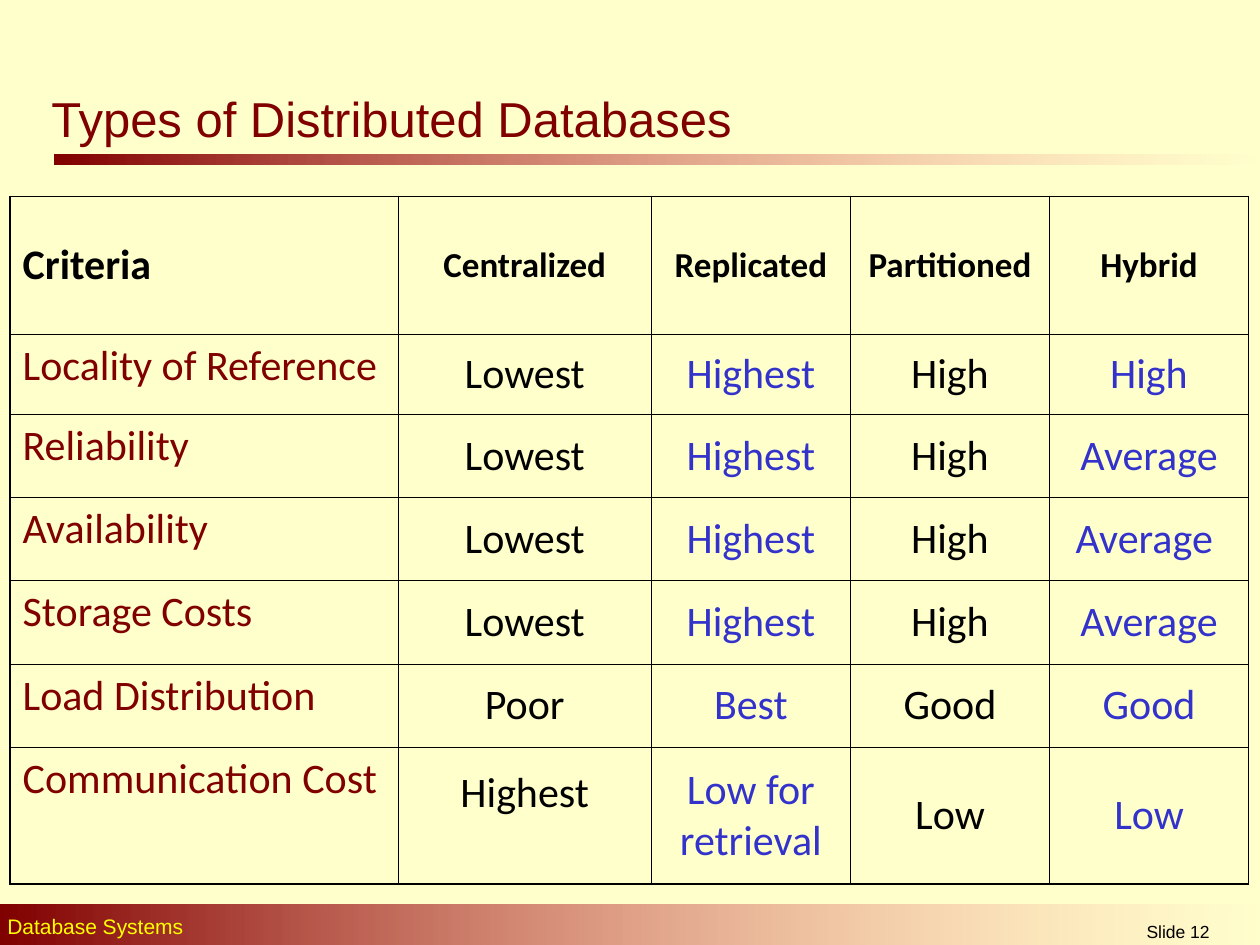
from lxml import etree
from pptx import Presentation
from pptx.dml.color import RGBColor
from pptx.enum.shapes import MSO_SHAPE
from pptx.enum.text import MSO_ANCHOR, PP_ALIGN
from pptx.oxml.ns import qn
from pptx.util import Inches, Pt

RECTANGLE = MSO_SHAPE.RECTANGLE
TOP, MIDDLE = MSO_ANCHOR.TOP, MSO_ANCHOR.MIDDLE
LEFT, CENTER = PP_ALIGN.LEFT, PP_ALIGN.CENTER

COLORS = {
    "cream": "FFFFCC",
    "maroon": "800000",
    "pink": "FF8585",
    "yellow": "FFFF00",
    "blue": "3333CC",
    "black": "000000",
}


def color(name):
    return RGBColor.from_string(COLORS[name])


def write(frame, text, size, ink, font="Arial", bold=False, align=LEFT):
    frame.word_wrap = True
    para = frame.paragraphs[0]
    para.alignment = align
    span = para.add_run()
    span.text = text
    span.font.name = font
    span.font.size = Pt(size)
    span.font.bold = bold
    span.font.color.rgb = color(ink)


deck = Presentation()
deck.slide_width, deck.slide_height = Inches(10), Inches(7.5)
page = deck.slides.add_slide(deck.slide_layouts[6])
page.background.fill.solid()
page.background.fill.fore_color.rgb = color("cream")

# Title rule and footer band, fading out to the right
for place in [(0.43, 1.23, 9.57, 0.08), (0, 7.18, 10.03, 0.35)]:
    band = page.shapes.add_shape(RECTANGLE, *map(Inches, place))
    band.shadow.inherit = False
    band.line.fill.background()
    band.fill.gradient()
    band.fill.gradient_angle = 0
    for stop, name in zip(band.fill.gradient_stops, ("maroon", "pink")):
        stop.color.rgb = color(name)
    end_color = list(band._element.spPr.iter(qn("a:srgbClr")))[-1]
    etree.SubElement(end_color, qn("a:alpha"), val="0")

# Footer texts and title
labels = [
    ("Database Systems", (-0.04, 7.2, 6.46, 0.3), 12, "yellow", LEFT, TOP),
    ("Slide 12", (8.31, 7.26, 2.08, 0.24), 10, "black", CENTER, TOP),
    ("Types of Distributed Databases", (0.31, 0.62, 5.83, 0.63), 28, "maroon", LEFT, MIDDLE),
]
for text, place, size, ink, align, anchor in labels:
    box = page.shapes.add_textbox(*map(Inches, place))
    box.text_frame.vertical_anchor = anchor
    write(box.text_frame, text, size, ink, align=align)

# Comparison table
rows = [
    ("Criteria", "Centralized", "Replicated", "Partitioned", "Hybrid"),
    ("Locality of Reference", "Lowest", "Highest", "High", "High"),
    ("Reliability", "Lowest", "Highest", "High", "Average"),
    ("Availability", "Lowest", "Highest", "High", "Average "),
    ("Storage Costs", "Lowest", "Highest", "High", "Average"),
    ("Load Distribution", "Poor", "Best", "Good", "Good"),
    ("Communication Cost", "Highest", "Low for retrieval", "Low", "Low"),
]
widths = [3.08, 2.01, 1.58, 1.58, 1.58]
heights = [1.09, 0.64, 0.66, 0.66, 0.66, 0.66, 1.09]
column_inks = ["maroon", "black", "blue", "black", "blue"]
last_row, last_column = len(rows) - 1, len(widths) - 1

table = page.shapes.add_table(
    len(rows), len(widths), Inches(0.08), Inches(1.56),
    Inches(sum(widths)), Inches(sum(heights)),
).table
table.first_row = table.horz_banding = False
for column, width in zip(table.columns, widths):
    column.width = Inches(width)
for row, height in zip(table.rows, heights):
    row.height = Inches(height)

for r, texts in enumerate(rows):
    for c, text in enumerate(texts):
        cell = table.cell(r, c)
        header = r == 0
        cell.vertical_anchor = TOP if c == 0 and not header else MIDDLE
        write(
            cell.text_frame, text,
            size=20 if header and c else 24,
            ink="black" if header else column_inks[c],
            font="Calibri", bold=header,
            align=CENTER if c else LEFT,
        )
        # Thin inner lines, thicker outer frame
        outer_sides = {
            "L": c == 0, "R": c == last_column,
            "T": r == 0, "B": r == last_row,
        }
        properties = cell._tc.get_or_add_tcPr()
        for side, outer in outer_sides.items():
            weight = Pt(1.08 if outer else 0.45)
            line = etree.SubElement(properties, qn(f"a:ln{side}"), w=str(weight))
            paint = etree.SubElement(line, qn("a:solidFill"))
            etree.SubElement(paint, qn("a:srgbClr"), val=COLORS["black"])
        cell.fill.background()

# The centralized communication cost sits above the middle of its cell
table.cell(last_row, 1).margin_bottom = Inches(0.4)

deck.save("out.pptx")
